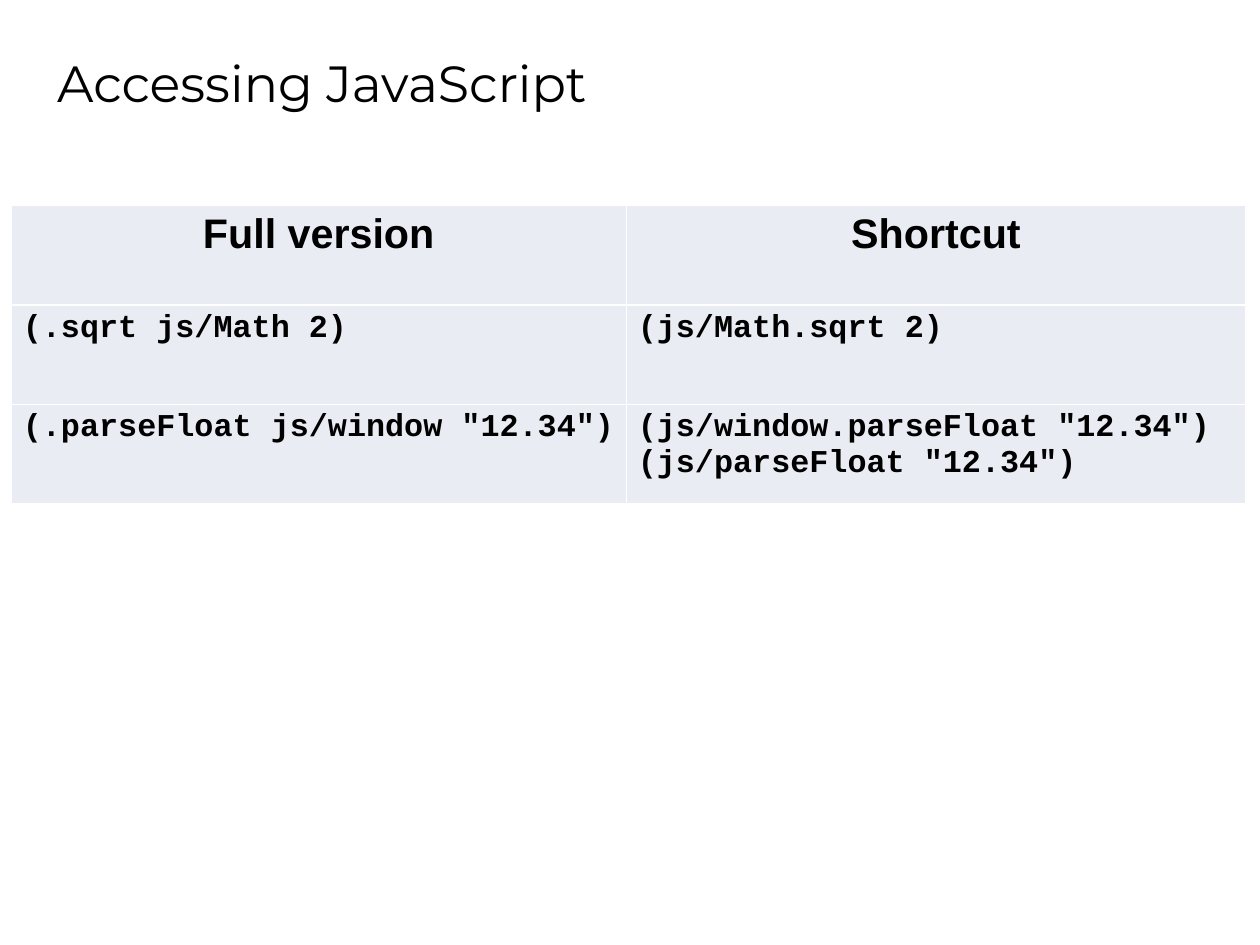
from lxml import etree
from pptx import Presentation
from pptx import util as u
from pptx.dml.color import RGBColor
from pptx.enum import text
from pptx.oxml.ns import qn

WIDTH, HEIGHT = u.Cm(28), u.Cm(21)
BLACK, WHITE, PALE = "000000", "FFFFFF", "E9ECF3"
VERSIONS = [
    ("Full version", "Shortcut"),
    ("(.sqrt js/Math 2)", "(js/Math.sqrt 2)"),
    ('(.parseFloat js/window "12.34")',
     '(js/window.parseFloat "12.34")\n(js/parseFloat "12.34")'),
]


def color(value):
    return RGBColor.from_string(value)


def format_text(frame, font, size, bold, align):
    for paragraph in frame.paragraphs:
        paragraph.alignment = align
        for run in paragraph.runs:
            run.font.name = font
            run.font.size = u.Pt(size)
            run.font.bold = bold
            run.font.color.rgb = color(BLACK)


def add_borders(cell, value, points):
    properties = cell._tc.get_or_add_tcPr()
    for index, side in enumerate(("lnL", "lnR", "lnT", "lnB")):
        line = etree.Element(qn("a:" + side), w=str(u.Pt(points)))
        fill = etree.SubElement(line, qn("a:solidFill"))
        etree.SubElement(fill, qn("a:srgbClr"), val=value)
        properties.insert(index, line)


def add_title(slide, box, wording):
    title = slide.shapes.title
    title.left, title.top, title.width, title.height = map(u.Inches, box)
    frame = title.text_frame
    frame.text = wording
    frame.word_wrap = True
    frame.auto_size = text.MSO_AUTO_SIZE.NONE
    frame.vertical_anchor = text.MSO_ANCHOR.TOP
    format_text(frame, "Montserrat", 32, False, text.PP_ALIGN.LEFT)


def add_versions(slide, left, top, column_widths, row_height):
    """Table of call forms, the full one beside its shortcut."""
    rows = len(VERSIONS)
    table = slide.shapes.add_table(
        rows, len(column_widths), u.Inches(left), u.Inches(top),
        u.Inches(sum(column_widths)), u.Inches(rows * row_height)).table
    for column, width in zip(table.columns, column_widths):
        column.width = u.Inches(width)
    for row, forms in enumerate(VERSIONS):
        for column, form in enumerate(forms):
            cell = table.cell(row, column)
            cell.text = form
            cell.fill.solid()
            cell.fill.fore_color.rgb = color(PALE)
            add_borders(cell, WHITE, 0.96)
            if row == 0:
                format_text(cell.text_frame, "Arial", 26, True, text.PP_ALIGN.CENTER)
            else:
                format_text(cell.text_frame, "Courier New", 20, True, text.PP_ALIGN.LEFT)


def main():
    deck = Presentation()
    deck.slide_width, deck.slide_height = WIDTH, HEIGHT
    slide = deck.slides.add_slide(deck.slide_layouts.get_by_name("Title Only"))
    slide.background.fill.solid()
    slide.background.fill.fore_color.rgb = color(WHITE)
    add_title(slide, (0.4, 0.4, 7.6, 0.72), "Accessing JavaScript")
    add_versions(slide, 0.1, 1.8, (5.38, 5.42), 0.87)
    deck.save("out.pptx")


if __name__ == "__main__":
    main()
